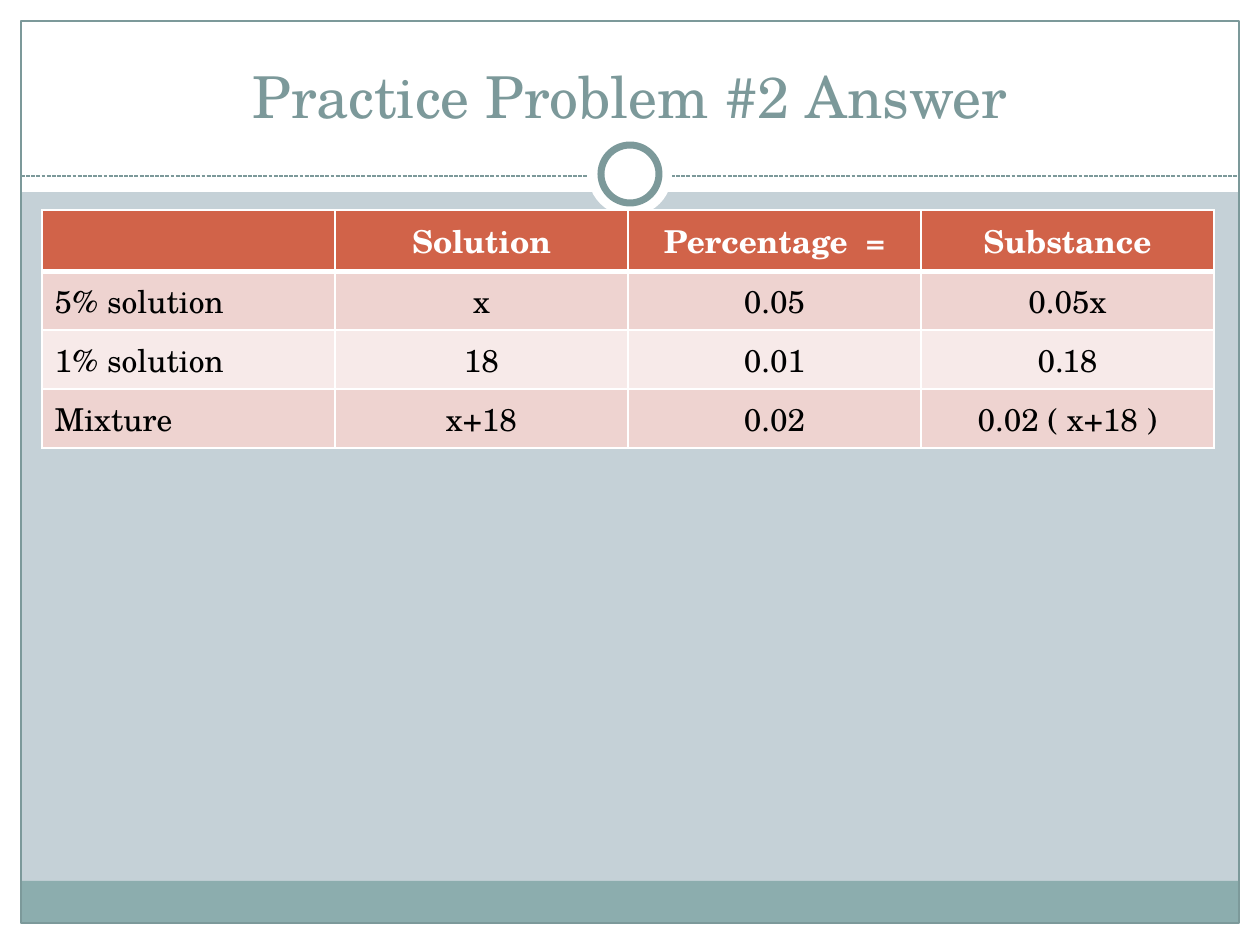
"""Build the slide with the answer table for practice problem 2."""
import pptx
import pptx.dml.color
import pptx.enum.dml
import pptx.enum.shapes
import pptx.enum.text
import pptx.oxml
import pptx.oxml.ns
import pptx.util

PIXEL = 914400 // 126
FONT = "TeX Gyre Schola"
COLORS = {
    "background": "C5D1D7", "white": "FFFFFF", "black": "000000",
    "teal": "7C999A", "footer": "8CADAE", "header": "D16349",
    "odd row": "EED3D0", "even row": "F7EAE9",
}
CENTER = pptx.enum.text.PP_ALIGN.CENTER
LEFT = pptx.enum.text.PP_ALIGN.LEFT
SHAPES = pptx.enum.shapes.MSO_SHAPE


def rgb(name):
    return pptx.dml.color.RGBColor.from_string(COLORS[name])


def write(text_frame, text, size=18, color="black", bold=False, align=CENTER):
    paragraph = text_frame.paragraphs[0]
    paragraph.alignment = align
    run = paragraph.add_run()
    run.text = text
    run.font.name = FONT
    run.font.size = pptx.util.Pt(size)
    run.font.bold = bold
    run.font.color.rgb = rgb(color)


presentation = pptx.Presentation()
presentation.slide_width = 1260 * PIXEL
presentation.slide_height = 945 * PIXEL
slide = presentation.slides.add_slide(presentation.slide_layouts[5])
slide.background.fill.solid()
slide.background.fill.fore_color.rgb = rgb("background")

panels = [
    (SHAPES.RECTANGLE, (0, 924, 1260, 21), "white", 0),
    (SHAPES.RECTANGLE, (0, 0, 1260, 192), "white", 0),
    (SHAPES.RECTANGLE, (0, 0, 21, 945), "white", 0),
    (SHAPES.RECTANGLE, (1239, 0, 21, 945), "white", 0),
    (SHAPES.RECTANGLE, (21, 881, 1218, 43), "footer", 0),
    (SHAPES.RECTANGLE, (21, 21, 1218, 902), None, 0.75),
    (SHAPES.OVAL, (588, 132, 84, 84), "white", 0),
    (SHAPES.OVAL, (601, 145, 58, 58), "white", 4),
]
for kind, box, fill, line_width in panels:
    if kind == SHAPES.OVAL and not line_width:
        divider = slide.shapes.add_connector(
            pptx.enum.shapes.MSO_CONNECTOR.STRAIGHT,
            21 * PIXEL, 176 * PIXEL, 1239 * PIXEL, 176 * PIXEL)
        divider.line.color.rgb = rgb("teal")
        divider.line.width = pptx.util.Pt(0.75)
        divider.line.dash_style = pptx.enum.dml.MSO_LINE.SQUARE_DOT
        divider.element.spPr.append(pptx.oxml.parse_xml(
            f"<a:effectLst {pptx.oxml.ns.nsdecls('a')}/>"))
    shape = slide.shapes.add_shape(kind, *[length * PIXEL for length in box])
    shape.shadow.inherit = False
    if fill:
        shape.fill.solid()
        shape.fill.fore_color.rgb = rgb(fill)
    else:
        shape.fill.background()
    if line_width:
        shape.line.color.rgb = rgb("teal")
        shape.line.width = pptx.util.Pt(line_width)
    else:
        shape.line.fill.background()

title = slide.shapes.title
title.element.getparent().append(title.element)
title.left, title.top = 42 * PIXEL, 31 * PIXEL
title.width, title.height = 1176 * PIXEL, 105 * PIXEL
title.text_frame.word_wrap = True
title.text_frame.vertical_anchor = pptx.enum.text.MSO_ANCHOR.BOTTOM
write(title.text_frame, "Practice Problem #2 Answer", size=33, color="teal")

rows = [
    ("", "Solution", "Percentage  =", "Substance"),
    ("5% solution", "x", "0.05", "0.05x"),
    ("1% solution", "18", "0.01", "0.18"),
    ("Mixture", "x+18", "0.02", "0.02 ( x+18 )"),
]
row_fills = ["header", "odd row", "even row", "odd row"]
table = slide.shapes.add_table(
    len(rows), len(rows[0]),
    42 * PIXEL, 210 * PIXEL, 1172 * PIXEL, 204 * PIXEL).table
for column in table.columns:
    column.width = 293 * PIXEL
for row_index, texts in enumerate(rows):
    is_header = row_index == 0
    border_widths = {"L": 1, "R": 1, "T": 3 if row_index == 1 else 1,
                     "B": 3 if is_header else 1}
    for column_index, text in enumerate(texts):
        cell = table.cell(row_index, column_index)
        properties = cell._tc.get_or_add_tcPr()
        for side, width in border_widths.items():
            properties.append(pptx.oxml.parse_xml(
                f'<a:ln{side} {pptx.oxml.ns.nsdecls("a")} w="{width * 12700}">'
                f'<a:solidFill><a:srgbClr val="{COLORS["white"]}"/></a:solidFill>'
                f'</a:ln{side}>'))
        cell.fill.solid()
        cell.fill.fore_color.rgb = rgb(row_fills[row_index])
        if text:
            write(cell.text_frame, text, bold=is_header,
                  color="white" if is_header else "black",
                  align=CENTER if column_index else LEFT)

presentation.save("out.pptx")
